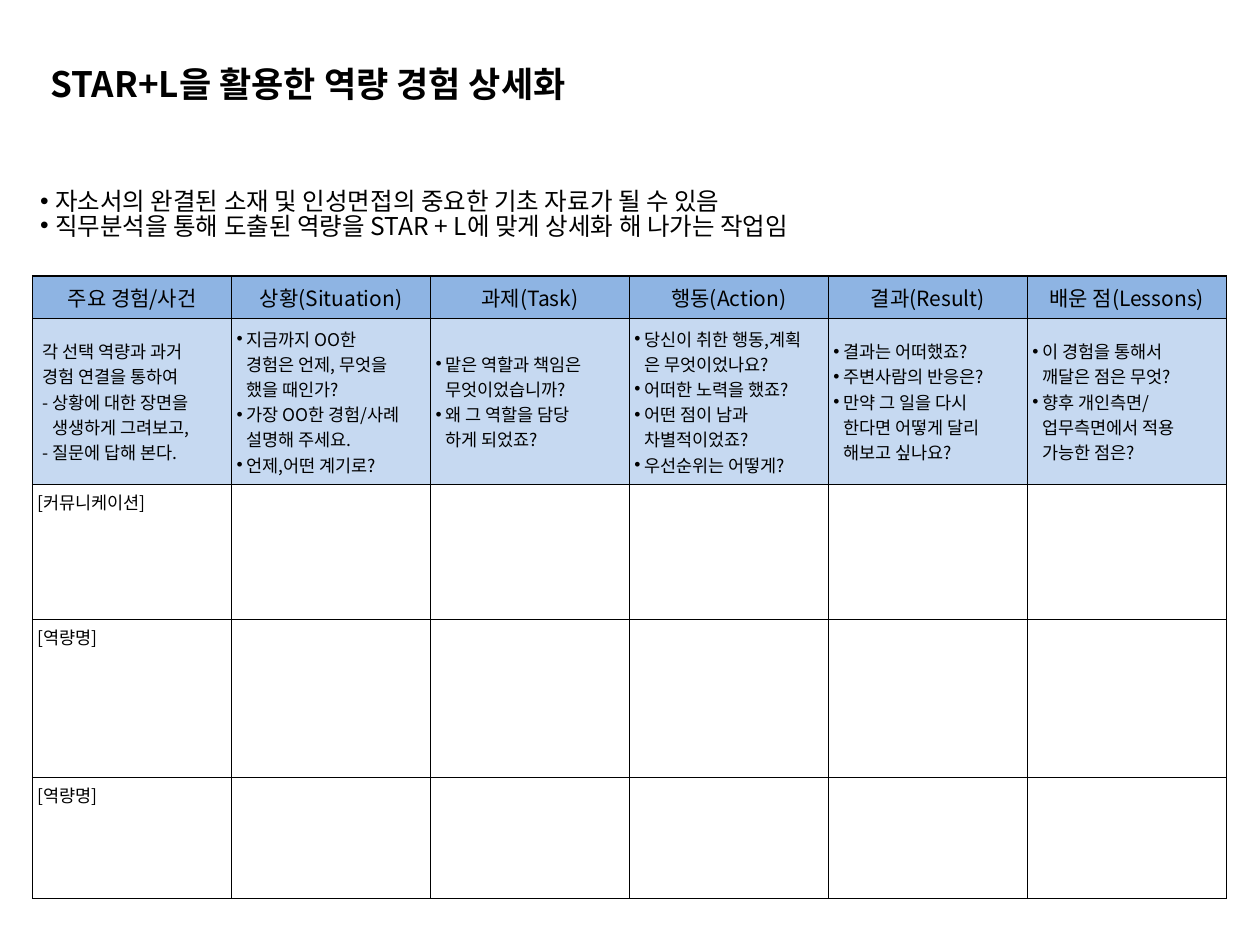
import pptx
import pptx.dml.color
import pptx.enum.text
import pptx.oxml.ns
import pptx.util
from lxml import etree

Cm = pptx.util.Cm
Pt = pptx.util.Pt
qn = pptx.oxml.ns.qn
Anchor = pptx.enum.text.MSO_ANCHOR
Align = pptx.enum.text.PP_ALIGN

FONT = "Noto Sans CJK KR"
COLORS = {"text": "000000", "header": "8EB4E3", "guide": "C6D9F1", "border": "000000"}

TITLE = "STAR+L을 활용한 역량 경험 상세화"
INTRO = [
    "자소서의 완결된 소재 및 인성면접의 중요한 기초 자료가 될 수 있음",
    "직무분석을 통해 도출된 역량을 STAR + L에 맞게 상세화 해 나가는 작업임",
]
HEADERS = ["주요 경험/사건", "상황(Situation)", "과제(Task)",
           "행동(Action)", "결과(Result)", "배운 점(Lessons)"]
# A vertical tab is a line break inside one paragraph
STEPS = ["각 선택 역량과 과거\v경험 연결을 통하여",
         "- 상황에 대한 장면을\v생생하게 그려보고,",
         "- 질문에 답해 본다."]
QUESTIONS = [
    ["지금까지 OO한\v경험은 언제, 무엇을\v했을 때인가?",
     "가장 OO한 경험/사례\v설명해 주세요.",
     "언제,어떤 계기로?"],
    ["맡은 역할과 책임은\v무엇이었습니까?",
     "왜 그 역할을 담당\v하게 되었죠?"],
    ["당신이 취한 행동,계획\v은 무엇이었나요?",
     "어떠한 노력을 했죠?",
     "어떤 점이 남과\v차별적이었죠?",
     "우선순위는 어떻게?"],
    ["결과는 어떠했죠?",
     "주변사람의 반응은?",
     "만약 그 일을 다시\v한다면 어떻게 달리\v해보고 싶나요?"],
    ["이 경험을 통해서\v깨달은 점은 무엇?",
     "향후 개인측면/\v업무측면에서 적용\v가능한 점은?"],
]
COMPETENCIES = ["[커뮤니케이션]", "[역량명]", "[역량명]"]
COLUMN_WIDTH = Cm(4.01)
ROW_HEIGHTS = [Cm(0.86), Cm(3.35), Cm(2.72), Cm(3.18), Cm(2.44)]


def rgb(name):
    return pptx.dml.color.RGBColor.from_string(COLORS[name])


def write(text_frame, lines, size, bold=False, align=Align.LEFT):
    """Fill a text frame with one paragraph per line and format it."""
    text_frame.text = "\n".join(lines)
    for paragraph in text_frame.paragraphs:
        paragraph.alignment = align
        for run in paragraph.runs:
            run.font.name = FONT
            run.font.size = Pt(size)
            run.font.bold = bold
            run.font.color.rgb = rgb("text")
            east_asian = etree.Element(qn("a:ea"), typeface=FONT)
            run.font._element.find(qn("a:latin")).addnext(east_asian)


def set_indent(paragraph, margin, first_line, bullet=False):
    properties = paragraph._p.get_or_add_pPr()
    properties.set("marL", str(margin))
    properties.set("indent", str(first_line))
    if bullet:
        etree.SubElement(properties, qn("a:buFont"), typeface="Arial")
        etree.SubElement(properties, qn("a:buChar"), char="•")


def add_bullets(text_frame, hang):
    for paragraph in text_frame.paragraphs:
        set_indent(paragraph, hang, -hang, bullet=True)


def add_title(slide):
    title = slide.shapes.title
    title.left, title.top, title.width, title.height = Cm(0.76), Cm(1.12), Cm(17.6), Cm(1.12)
    title.text_frame.vertical_anchor = Anchor.MIDDLE
    write(title.text_frame, [TITLE], 20, bold=True)


def add_intro(slide):
    box = slide.shapes.add_textbox(Cm(0.56), Cm(3.73), Cm(24), Cm(1.45))
    box.text_frame.word_wrap = True
    write(box.text_frame, INTRO, 14)
    for paragraph in box.text_frame.paragraphs:
        paragraph.line_spacing = 0.83
    add_bullets(box.text_frame, Cm(0.3))


def format_cell(cell, fill):
    cell.margin_left = cell.margin_right = cell.margin_top = cell.margin_bottom = Cm(0.1)
    if fill:
        cell.fill.solid()
        cell.fill.fore_color.rgb = rgb(fill)
        cell.vertical_anchor = Anchor.MIDDLE
    else:
        cell.fill.background()
    properties = cell._tc.get_or_add_tcPr()
    for position, side in enumerate(("lnL", "lnR", "lnT", "lnB")):
        line = etree.Element(qn("a:" + side), w=str(Pt(1)))
        solid = etree.SubElement(line, qn("a:solidFill"))
        etree.SubElement(solid, qn("a:srgbClr"), val=COLORS["border"])
        properties.insert(position, line)


def add_worksheet(slide):
    frame = slide.shapes.add_table(len(ROW_HEIGHTS), len(HEADERS), Cm(0.66), Cm(5.56),
                                   COLUMN_WIDTH * len(HEADERS), sum(ROW_HEIGHTS))
    table = frame.table
    table.first_row = table.horz_banding = False
    for column in table.columns:
        column.width = COLUMN_WIDTH
    for row, height, fill in zip(table.rows, ROW_HEIGHTS, ["header", "guide", None, None, None]):
        row.height = height
        for cell in row.cells:
            format_cell(cell, fill)

    # Header row
    for index, header in enumerate(HEADERS):
        write(table.cell(0, index).text_frame, [header], 12, align=Align.CENTER)

    # Guide row: steps first, then the questions of each column
    steps = table.cell(1, 0).text_frame
    write(steps, STEPS, 10)
    set_indent(steps.paragraphs[0], Cm(0.1), 0)
    for paragraph in steps.paragraphs[1:]:
        set_indent(paragraph, Cm(0.3), -Cm(0.2))
    for index, questions in enumerate(QUESTIONS, start=1):
        text_frame = table.cell(1, index).text_frame
        write(text_frame, questions, 10)
        add_bullets(text_frame, Cm(0.2))

    # Rows to fill in
    for index, competency in enumerate(COMPETENCIES, start=2):
        write(table.cell(index, 0).text_frame, [competency], 10)


def main():
    presentation = pptx.Presentation()
    presentation.slide_width, presentation.slide_height = Cm(25.4), Cm(19.05)
    slide = presentation.slides.add_slide(presentation.slide_layouts[5])
    add_title(slide)
    add_worksheet(slide)
    add_intro(slide)
    presentation.save("out.pptx")


if __name__ == "__main__":
    main()
